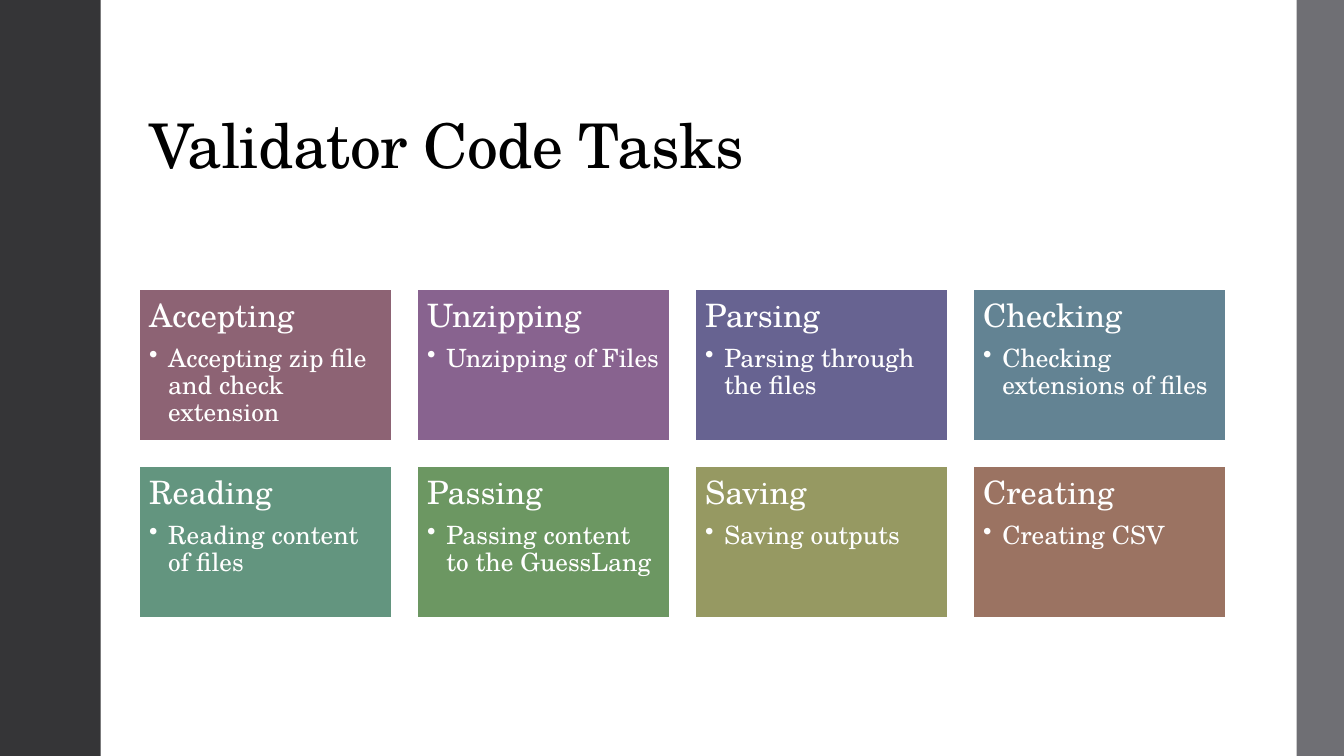
"""Build the slide of validator code tasks: a title over a grid of cards."""
import dataclasses

import lxml.etree
import pptx
import pptx.dml.color
import pptx.enum.shapes
import pptx.enum.text
import pptx.oxml.ns
import pptx.util

WIDE, HIGH = 13.33, 7.5
LEFT, TOP, SPAN = 1.38, 2.87, 10.78
COLS = 4
CARD = SPAN / (COLS + 0.1 * (COLS - 1))
GAP = 0.1 * CARD
TALL = 0.6 * CARD
FONT = "TeX Gyre Schola"
HUES = {
    "white": "FFFFFF", "black": "000000", "dark": "353537", "gray": "6F6F74",
    "rose": "8D6374", "plum": "88638F", "blue": "676391", "teal": "638393",
    "mint": "63957F", "green": "6C9762", "olive": "969962", "brown": "9B7362",
}


@dataclasses.dataclass
class Box:
    left: float
    top: float
    width: float
    height: float


@dataclasses.dataclass
class Task:
    name: str
    note: str
    hue: str


TASKS = [
    Task("Accepting", "Accepting zip file and check extension", "rose"),
    Task("Unzipping", "Unzipping of Files", "plum"),
    Task("Parsing", "Parsing through the files", "blue"),
    Task("Checking", "Checking extensions of files", "teal"),
    Task("Reading", "Reading content of files", "mint"),
    Task("Passing", "Passing content to the GuessLang", "green"),
    Task("Saving", "Saving outputs", "olive"),
    Task("Creating", "Creating CSV", "brown"),
]


def tint(hue: str) -> pptx.dml.color.RGBColor:
    return pptx.dml.color.RGBColor.from_string(HUES[hue])


def place(box: Box) -> list[int]:
    return [pptx.util.Inches(side) for side in dataclasses.astuple(box)]


def rect(slide, box: Box, hue: str):
    shape = slide.shapes.add_shape(
        pptx.enum.shapes.MSO_SHAPE.RECTANGLE, *place(box))
    shape.shadow.inherit = False
    shape.fill.solid()
    shape.fill.fore_color.rgb = tint(hue)
    shape.line.fill.background()
    return shape


def style(para, size: float, hue: str, after: float = 0) -> None:
    para.alignment = pptx.enum.text.PP_ALIGN.LEFT
    para.line_spacing = 0.9
    para.space_after = pptx.util.Pt(after)
    for run in para.runs:
        run.font.name = FONT
        run.font.size = pptx.util.Pt(size)
        run.font.color.rgb = tint(hue)


def bullet(para) -> None:
    props = para._p.get_or_add_pPr()
    dent = pptx.util.Inches(0.19)
    props.set("marL", str(dent))
    props.set("indent", str(-dent))
    mark = lxml.etree.SubElement(props, pptx.oxml.ns.qn("a:buChar"))
    mark.set("char", "•")


def title(slide, text: str) -> None:
    frame = slide.shapes.add_textbox(
        *place(Box(LEFT, 0.4, SPAN, 1.45))).text_frame
    frame.word_wrap = True
    frame.vertical_anchor = pptx.enum.text.MSO_ANCHOR.BOTTOM
    frame.text = text
    para = frame.paragraphs[0]
    style(para, 44, "black")
    para.runs[0]._r.get_or_add_rPr().set("spc", "-50")


def card(slide, task: Task, row: int, col: int) -> None:
    box = Box(LEFT + col * (CARD + GAP), TOP + row * (TALL + GAP), CARD, TALL)
    shape = rect(slide, box, task.hue)
    shape.line.color.rgb = tint("white")
    shape.line.width = pptx.util.Pt(1.35)
    frame = shape.text_frame
    frame.word_wrap = True
    frame.vertical_anchor = pptx.enum.text.MSO_ANCHOR.TOP
    frame.margin_left = frame.margin_right = pptx.util.Inches(0.1)
    frame.margin_top = frame.margin_bottom = pptx.util.Inches(0.1)
    frame.text = f"{task.name}\n{task.note}"
    head, note = frame.paragraphs
    style(head, 23, "white", 8)
    style(note, 18, "white", 3)
    note.level = 1
    bullet(note)


def main() -> None:
    deck = pptx.Presentation()
    deck.slide_width = pptx.util.Inches(WIDE)
    deck.slide_height = pptx.util.Inches(HIGH)
    slide = deck.slides.add_slide(deck.slide_layouts[6])
    slide.background.fill.solid()
    slide.background.fill.fore_color.rgb = tint("white")
    title(slide, "Validator Code Tasks")
    rect(slide, Box(0, 0, 1, HIGH), "dark")
    rect(slide, Box(12.86, 0, WIDE - 12.86, HIGH), "gray")
    for index, task in enumerate(TASKS):
        card(slide, task, *divmod(index, COLS))
    deck.save("out.pptx")


if __name__ == "__main__":
    main()
